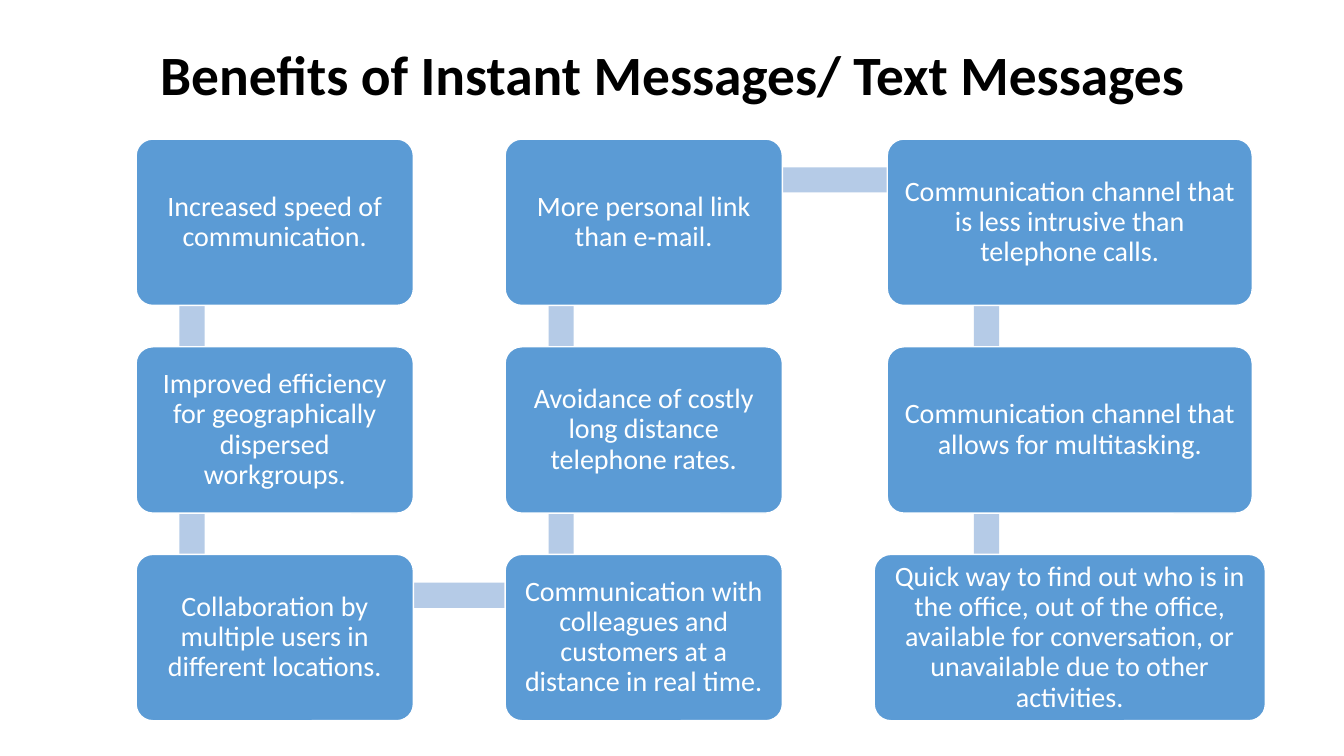
"""Build a slide with nine linked boxes on the benefits of instant and text messages."""
from pptx import Presentation
from pptx.dml.color import RGBColor
from pptx.enum.shapes import MSO_SHAPE
from pptx.enum.text import MSO_ANCHOR, MSO_AUTO_SIZE, PP_ALIGN
from pptx.util import Inches, Pt

COLORS = {"box": "5B9BD5", "link": "B5CBE7", "white": "FFFFFF", "title": "000000"}
FONT = "Calibri"
ROW_TOP, ROW_STEP, BOX_HEIGHT = 1.38, 2.06, 1.65
LINK_THICKNESS, LINK_LENGTH, LINK_OFFSET = 0.25, 2.05, 0.41

COLUMNS = [
    {"link_left": 1.78, "boxes": [
        (1.35, 2.75, "Increased speed of communication."),
        (1.35, 2.75, "Improved efficiency for geographically dispersed workgroups."),
        (1.35, 2.75, "Collaboration by multiple users in different locations."),
    ]},
    {"link_left": 5.44, "boxes": [
        (5.01, 2.75, "More personal link than e‐mail."),
        (5.01, 2.75, "Avoidance of costly long distance telephone rates."),
        (5.01, 2.75, "Communication with colleagues and customers at a distance in real time."),
    ]},
    {"link_left": 9.66, "boxes": [
        (8.8, 3.62, "Communication channel that is less intrusive than telephone calls."),
        (8.8, 3.62, "Communication channel that allows for multitasking."),
        (8.67, 3.88, "Quick way to find out who is in the office, out of the office, "
                     "available for conversation, or unavailable due to other activities."),
    ]},
]


def add_filled_shape(kind, left, top, width, height, color):
    shape = slide.shapes.add_shape(kind, Inches(left), Inches(top), Inches(width), Inches(height))
    shape.shadow.inherit = False
    shape.fill.solid()
    shape.fill.fore_color.rgb = RGBColor.from_string(COLORS[color])
    shape.line.fill.background()
    return shape


def write_text(text_frame, text, size, color, bold):
    text_frame.word_wrap = True
    text_frame.auto_size = MSO_AUTO_SIZE.NONE
    text_frame.vertical_anchor = MSO_ANCHOR.MIDDLE
    paragraph = text_frame.paragraphs[0]
    paragraph.alignment = PP_ALIGN.CENTER
    paragraph.line_spacing = 0.9
    run = paragraph.add_run()
    run.text = text
    run.font.name = FONT
    run.font.size = Pt(size)
    run.font.bold = bold
    run.font.color.rgb = RGBColor.from_string(COLORS[color])


presentation = Presentation()
presentation.slide_width = Inches(13.33)
presentation.slide_height = Inches(7.5)
slide = presentation.slides.add_slide(presentation.slide_layouts[5])

title = slide.shapes.title
title.left, title.top = Inches(0.92), Inches(0.4)
title.width, title.height = Inches(11.5), Inches(0.73)
write_text(title.text_frame, "Benefits of Instant Messages/ Text Messages", 39.6, "title", True)

for column in COLUMNS:
    for row in range(2):
        add_filled_shape(MSO_SHAPE.RECTANGLE, column["link_left"], ROW_TOP + LINK_OFFSET + row * ROW_STEP,
                         LINK_THICKNESS, LINK_LENGTH, "link")

for left, top, width in [(1.91, 5.78, 3.65), (5.57, 1.66, 4.21)]:
    add_filled_shape(MSO_SHAPE.RECTANGLE, left, top, width, LINK_THICKNESS, "link")

for column in COLUMNS:
    for row, (left, width, text) in enumerate(column["boxes"]):
        box = add_filled_shape(MSO_SHAPE.ROUNDED_RECTANGLE, left, ROW_TOP + row * ROW_STEP,
                               width, BOX_HEIGHT, "box")
        box.adjustments[0] = 0.1
        box.line.color.rgb = RGBColor.from_string(COLORS["white"])
        box.line.width = Pt(1)
        frame = box.text_frame
        frame.margin_left = frame.margin_right = Inches(0.08)
        frame.margin_top = frame.margin_bottom = Inches(0.08)
        write_text(frame, text, 20, "white", False)

presentation.save("out.pptx")
